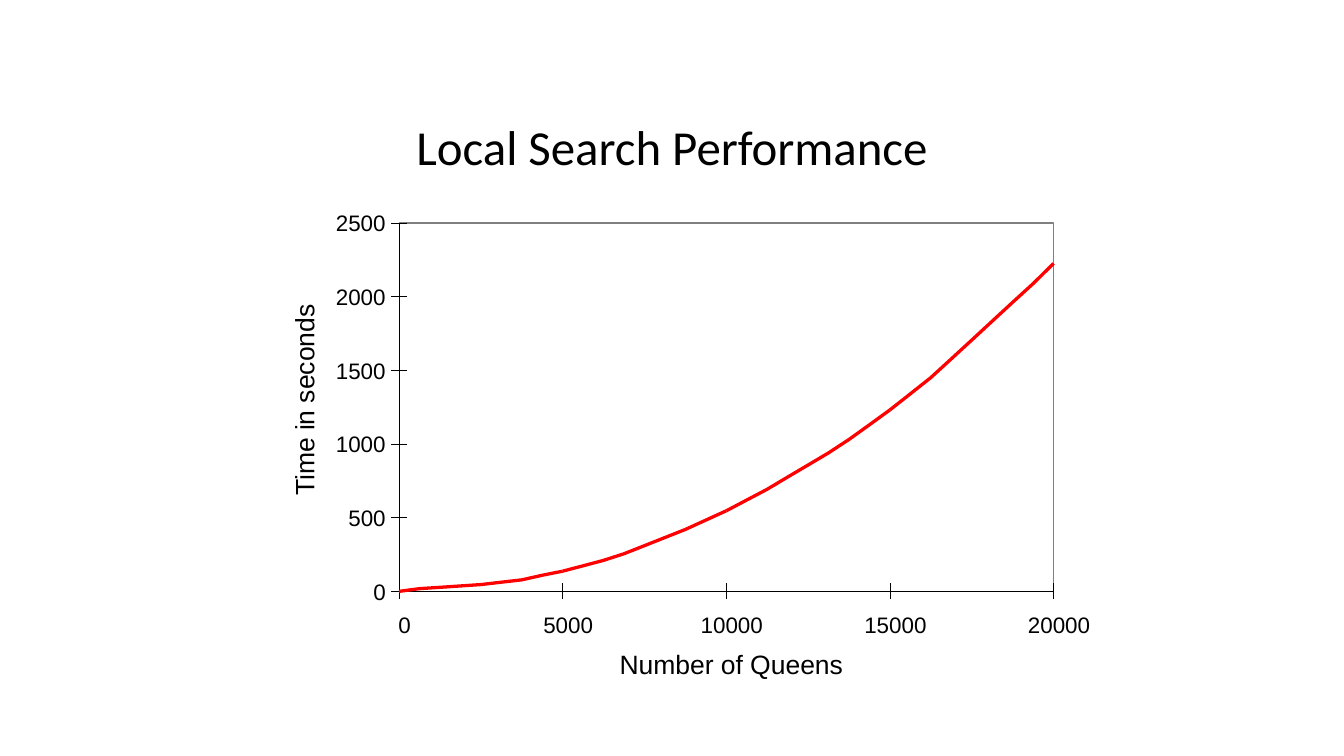
from dataclasses import dataclass

from lxml import etree
from pptx import Presentation
from pptx.dml.color import RGBColor
from pptx.enum.shapes import MSO_CONNECTOR, MSO_SHAPE
from pptx.enum.text import MSO_ANCHOR, PP_ALIGN
from pptx.oxml.ns import qn
from pptx.util import Inches, Pt


@dataclass(frozen=True)
class Theme:
    ink: RGBColor = RGBColor(0, 0, 0)
    frame: RGBColor = RGBColor(0x80, 0x80, 0x80)
    curve: RGBColor = RGBColor(0xFF, 0, 0)
    title_font: str = "Calibri"
    chart_font: str = "Arial"
    title_size: float = 26.2
    axis_size: float = 14.2
    tick_size: float = 12
    frame_width: float = 0.63
    curve_width: float = 1.75
    hairline: float = 0.01


THEME = Theme()
MAX_QUEENS, MAX_SECONDS = 20000, 2500
QUEEN_STEP, SECOND_STEP = 5000, 500

# Measured (queens, seconds), one list per 5000 queens
RUNS = [
    [(0, 0), (625, 18), (1250, 27), (2500, 46), (3125, 62), (3750, 78),
     (4375, 109), (5000, 137)],
    [(5000, 137), (5625, 173), (6250, 210), (6875, 255), (7500, 310),
     (8125, 365), (8750, 420), (10000, 547)],
    [(10000, 547), (11250, 693), (11875, 776), (12500, 858), (13125, 940),
     (13750, 1031), (14375, 1131), (15000, 1232)],
    [(15000, 1232), (15625, 1341), (16250, 1451), (16875, 1578),
     (17500, 1706), (18750, 1962), (19375, 2089), (20000, 2226)],
]


def add_text(page, text, box, size, font, align=PP_ALIGN.LEFT, wrap=False):
    shape = page.shapes.add_textbox(*(Inches(v) for v in box))
    frame = shape.text_frame
    frame.word_wrap = wrap
    frame.vertical_anchor = MSO_ANCHOR.MIDDLE
    frame.margin_left = frame.margin_right = 0
    frame.margin_top = frame.margin_bottom = 0
    para = frame.paragraphs[0]
    para.alignment = align
    span = para.add_run()
    span.text = text
    span.font.size = Pt(size)
    span.font.name = font
    span.font.color.rgb = THEME.ink
    return shape


def add_hairline(page, x1, y1, x2, y2):
    line = page.shapes.add_connector(
        MSO_CONNECTOR.STRAIGHT, *(Inches(v) for v in (x1, y1, x2, y2)))
    line.line.color.rgb = THEME.ink
    line.line.width = Pt(THEME.hairline)
    etree.SubElement(line._element.spPr, qn("a:effectLst"))


def style_outline(shape, color, width):
    shape.shadow.inherit = False
    shape.fill.background()
    shape.line.color.rgb = color
    shape.line.width = Pt(width)


def add_title(page, box):
    add_text(page, "Local Search Performance", box, THEME.title_size,
             THEME.title_font, PP_ALIGN.CENTER, wrap=True)


def add_plot(page, box):
    left, top, width, height = box
    right, bottom = left + width, top + height
    tick = 0.055

    def x_at(queens):
        return left + width * queens / MAX_QUEENS

    def y_at(seconds):
        return bottom - height * seconds / MAX_SECONDS

    def add_tick_label(value, x, y, align, shift):
        label_width = 0.093 * len(str(value))
        add_text(page, str(value),
                 (x - label_width * shift, y, label_width, 0.2),
                 THEME.tick_size, THEME.chart_font, align)

    # Plot frame
    frame = page.shapes.add_shape(
        MSO_SHAPE.RECTANGLE, *(Inches(v) for v in box))
    style_outline(frame, THEME.frame, THEME.frame_width)

    # Time axis
    add_hairline(page, left, top, left, bottom)
    for seconds in range(0, MAX_SECONDS + 1, SECOND_STEP):
        y = y_at(seconds)
        add_hairline(page, left - tick, y, left + tick, y)
        add_tick_label(seconds, left - 0.1, y - 0.1, PP_ALIGN.RIGHT, 1)

    # Queens axis
    add_hairline(page, left, bottom, right, bottom)
    for queens in range(0, MAX_QUEENS + 1, QUEEN_STEP):
        x = x_at(queens)
        add_hairline(page, x, bottom + tick, x, bottom - tick)
        add_tick_label(queens, x + 0.04, bottom + 0.15, PP_ALIGN.CENTER, 0.5)

    # Curve
    for run in RUNS:
        start, *rest = [(Inches(x_at(q)), Inches(y_at(s))) for q, s in run]
        builder = page.shapes.build_freeform(*start)
        builder.add_line_segments(rest, close=False)
        style_outline(builder.convert_to_shape(), THEME.curve,
                      THEME.curve_width)

    # Axis titles
    add_text(page, "Number of Queens",
             (left + 1.64, bottom + 0.42, 1.68, 0.24),
             THEME.axis_size, THEME.chart_font)
    time_title = add_text(page, "Time in seconds",
                          (left - 1.49, top + 1.13, 1.56, 0.24),
                          THEME.axis_size, THEME.chart_font)
    time_title.rotation = 270


def main():
    deck = Presentation()
    deck.slide_width = Inches(10)
    deck.slide_height = Inches(10 * 9 / 16)
    page = deck.slides.add_slide(deck.slide_layouts[6])
    add_title(page, (1.81, 0.65, 6.38, 0.87))
    add_plot(page, (2.97, 1.66, 4.87, 2.74))
    deck.save("out.pptx")


if __name__ == "__main__":
    main()
